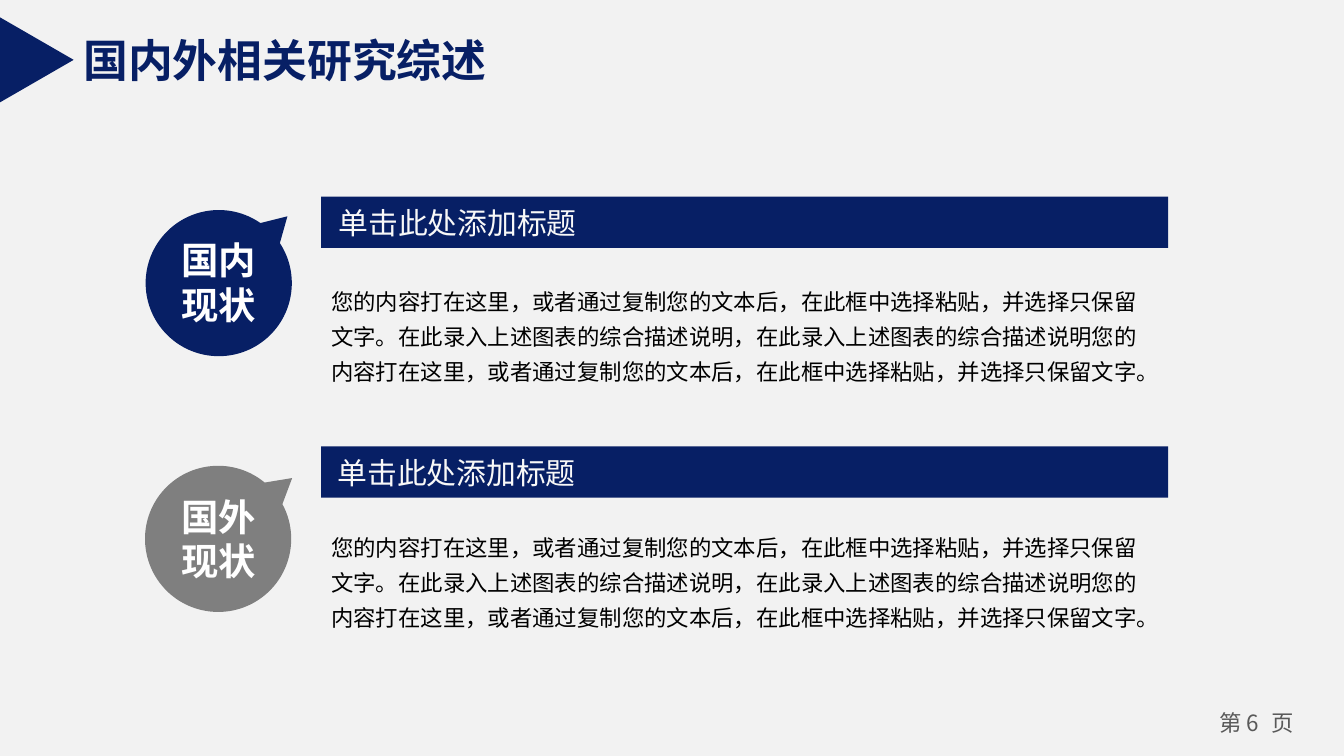
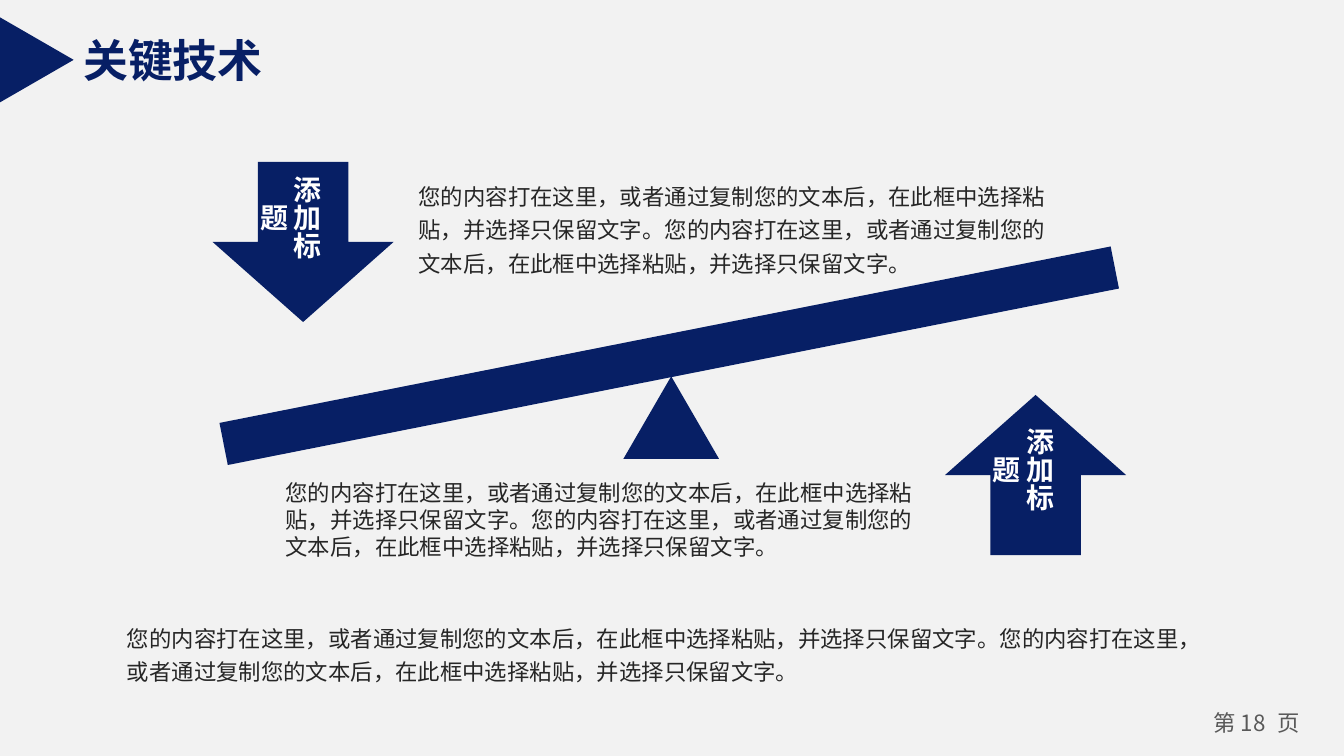
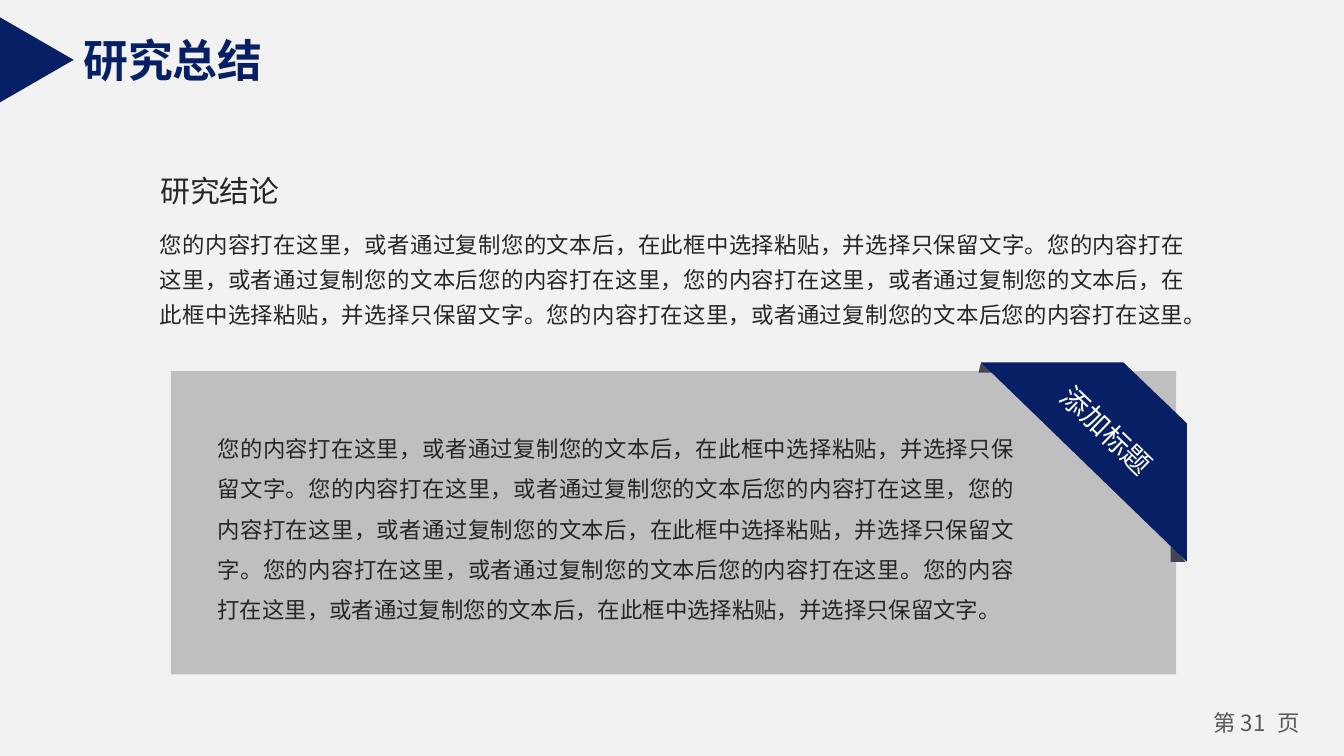
import math
import pptx
import pptx.dml.color
import pptx.enum.lang
import pptx.enum.shapes
import pptx.enum.text
import pptx.oxml.ns
import pptx.util
from dataclasses import dataclass
from lxml import etree

Pt = pptx.util.Pt
Shape = pptx.enum.shapes.MSO_SHAPE
Align = pptx.enum.text.PP_ALIGN
Anchor = pptx.enum.text.MSO_ANCHOR
AutoSize = pptx.enum.text.MSO_AUTO_SIZE
qn = pptx.oxml.ns.qn


@dataclass(frozen=True)
class Theme:
    navy: str = "071F65"
    paper: str = "F2F2F2"
    white: str = "FFFFFF"
    off_white: str = "F8F8F8"
    black: str = "000000"
    ink: str = "262626"
    footer: str = "595959"
    gray: str = "7F7F7F"
    panel: str = "BFBFBF"
    fold: str = "444455"
    title_font: str = "Arial"
    font: str = "Noto Sans CJK SC"
    title_size: int = 24
    callout_size: int = 20
    heading_size: int = 16
    label_size: int = 15
    body_size: int = 12


theme = Theme()
ROOMY = (7.2, 3.6)
TIGHT = (5.04, 2.88)
WIDE_SPACE = 3.75

PASTE = "您的内容打在这里，或者通过复制您的文本后，在此框中选择粘贴，并选择只保留文字。"
SHORT = "您的内容打在这里，或者通过复制您的文本后"
HERE = "您的内容打在这里"
DESCRIBE = "在此录入上述图表的综合描述说明"

REVIEW = {
    "title": "国内外相关研究综述",
    "page": 6,
    "heading": "单击此处添加标题",
    "body": PASTE + DESCRIBE + "，" + DESCRIBE + PASTE,
    "topics": [
        {"label": ["国内", "现状"], "color": theme.navy, "turn": 45.8,
         "callout_top": 102.2, "bar_top": 105.4, "heading_left": 174.4, "body_top": 147.2},
        {"label": ["国外", "现状"], "color": theme.gray, "turn": 50.6,
         "callout_top": 239.6, "bar_top": 239.2, "heading_left": 173.8, "body_top": 279},
    ],
}
TECHNOLOGY = {
    "title": "关键技术",
    "page": 18,
    "label": "添加标题",
    "arrows": [
        {"left": 113.9, "top": 86.7, "label_drop": 0.6, "upward": False},
        {"left": 506.3, "top": 211.6, "label_drop": 10.4, "upward": True},
    ],
    "texts": [
        ((219.2, 91.5, 350.6, 59.8), 1.25),
        ((148, 253.8, 357.1, 49), None),
        ((63, 328.3, 593.3, 41.8), 1.25),
    ],
    "body": PASTE * 2,
}
SUMMARY = {
    "title": "研究总结",
    "page": 31,
    "heading": "研究结论",
    "conclusion": PASTE + SHORT + HERE + "，" + PASTE + SHORT + HERE + "。",
    "detail": PASTE + SHORT + HERE + "，" + PASTE + SHORT + HERE + "。" + PASTE,
    "ribbon": "添加标题",
    "outlines": [
        (theme.fold, [(635, 301), (627.1, 301), (627.1, 290.9)]),
        (theme.fold, [(525.6, 194.2), (524.2, 199.6), (533.5, 199.6)]),
        (theme.navy, [(525.6, 194.2), (635.8, 301), (635.8, 226.8), (601.9, 194.2)]),
    ],
}


def rgb(color):
    return pptx.dml.color.RGBColor.from_string(color)


def paint(shape, color, turn=0):
    shape.shadow.inherit = False
    shape.fill.solid()
    shape.fill.fore_color.rgb = rgb(color)
    shape.line.fill.background()
    shape.rotation = turn


def add_block(shapes, kind, place, color, turn=0):
    block = shapes.add_shape(kind, *map(Pt, place))
    paint(block, color, turn)
    return block


def add_outline(shapes, points, color):
    start, *rest = [(Pt(x), Pt(y)) for x, y in points]
    builder = shapes.build_freeform(*start)
    builder.add_line_segments(rest, close=True)
    outline = builder.convert_to_shape()
    paint(outline, color)
    return outline


def add_callout(shapes, place, color, turn):
    left, top, width, height = place
    radius = width / 2
    center_x, center_y = left + radius, top + height - radius
    half_tail, pieces = 11, 4
    step = math.radians(360 - 2 * half_tail) / pieces
    angles = [math.radians(half_tail) + step * index for index in range(pieces + 1)]
    handle = 4 / 3 * math.tan(step / 4)

    def on_circle(angle, pull=0):
        x = math.sin(angle) + pull * math.cos(angle)
        y = pull * math.sin(angle) - math.cos(angle)
        return center_x + radius * x, center_y + radius * y

    callout = add_outline(shapes, [(center_x, top), *map(on_circle, angles)], color)
    callout.rotation = turn
    sides = list(callout.element.iter(qn("a:lnTo")))[1:]
    for side, begin, end in zip(sides, angles, angles[1:]):
        side.tag = qn("a:cubicBezTo")
        side.remove(side[0])
        for x, y in (on_circle(begin, handle), on_circle(end, -handle), on_circle(end)):
            point = etree.SubElement(side, qn("a:pt"))
            point.set("x", str(Pt(x) - callout.left))
            point.set("y", str(Pt(y) - callout.top))


def add_span(para, text, size, color, font, bold, extra):
    span = para.add_run()
    span.text = text
    span.font.size = Pt(size)
    span.font.bold = bold
    span.font.color.rgb = rgb(color)
    span.font.name = font
    span.font.language_id = pptx.enum.lang.MSO_LANGUAGE_ID.SIMPLIFIED_CHINESE
    properties = span.font._element
    etree.SubElement(properties, qn("a:ea")).set("typeface", theme.font)
    if extra:
        properties.set("spc", str(round(extra * 100)))


def add_text(shapes, place, lines, size, color, font=theme.font, bold=False,
             align=Align.LEFT, spacing=None, inset=ROOMY, wrap=True, grow=True,
             anchor=Anchor.TOP, turn=0, vertical=False):
    box = shapes.add_textbox(*map(Pt, place))
    box.rotation = turn
    frame = box.text_frame
    frame.word_wrap = wrap
    frame.auto_size = AutoSize.SHAPE_TO_FIT_TEXT if grow else AutoSize.NONE
    frame.vertical_anchor = anchor
    frame.margin_left = frame.margin_right = Pt(inset[0])
    frame.margin_top = frame.margin_bottom = Pt(inset[1])
    if vertical:
        box.element.txBody.find(qn("a:bodyPr")).set("vert", "eaVert")
    for index, line in enumerate(lines):
        para = frame.add_paragraph() if index else frame.paragraphs[0]
        para.alignment = align
        para.line_spacing = spacing
        for text, extra in [(line, 0)] if isinstance(line, str) else line:
            add_span(para, text, size, color, font, bold, extra)


def add_page(deck, content):
    shapes = deck.slides.add_slide(deck.slide_layouts[6]).shapes
    title = content["title"]
    footer = [(f"第 {content['page']}", 0), (" ", WIDE_SPACE), ("页", 0)]
    add_text(shapes, (640.8, 377, 64.8, 21.6), [footer],
             theme.body_size, theme.footer, align=Align.CENTER, inset=TIGHT, grow=False)
    add_text(shapes, (37.5, 14, theme.title_size * len(title) + 15.5, 36), [title],
             theme.title_size, theme.navy, font=theme.title_font, bold=True, wrap=False)
    add_block(shapes, Shape.ISOSCELES_TRIANGLE, (-3.2, 12.3, 45.7, 39.6), theme.navy, 90)
    return shapes


def build_review(deck):
    shapes = add_page(deck, REVIEW)
    for topic in REVIEW["topics"]:
        bar_top, callout_top = topic["bar_top"], topic["callout_top"]
        group = shapes.add_group_shape().shapes
        add_block(group, Shape.RECTANGLE, (172.1, bar_top, 453.7, 27.4), theme.navy)
        add_text(group, (topic["heading_left"], bar_top + 0.9, 365, 26.6),
                 [REVIEW["heading"]], theme.heading_size, theme.off_white)
        add_text(shapes, (172.4, topic["body_top"], 453.6, 61.9), [REVIEW["body"]],
                 theme.body_size, theme.black, spacing=1.3, inset=TIGHT)
        add_callout(shapes, (82.4, callout_top, 78.3, 90.5), topic["color"], topic["turn"])
        add_text(shapes, (91.9, callout_top + 34.6, 50.4, 28.8), topic["label"],
                 theme.callout_size, theme.white, bold=True, align=Align.CENTER,
                 inset=TIGHT, wrap=False, grow=False, anchor=Anchor.MIDDLE)


def build_technology(deck):
    shapes = add_page(deck, TECHNOLOGY)
    for place, spacing in TECHNOLOGY["texts"]:
        add_text(shapes, place, [TECHNOLOGY["body"]], theme.body_size, theme.ink,
                 spacing=spacing, inset=TIGHT)
    add_block(shapes, Shape.RECTANGLE, (115.2, 179.1, 486.7, 23), theme.navy, 348.8)
    add_block(shapes, Shape.ISOSCELES_TRIANGLE, (334, 201.6, 51.2, 44.2), theme.navy)
    for item in TECHNOLOGY["arrows"]:
        left, top = item["left"], item["top"]
        group = shapes.add_group_shape().shapes
        arrow = add_block(group, Shape.DOWN_ARROW, (left, top, 97, 85.8), theme.navy)
        if item["upward"]:
            arrow.element.spPr.find(qn("a:xfrm")).set("flipV", "1")
        add_text(group, (left + 30.6, top + item["label_drop"], 32.4, 60),
                 [TECHNOLOGY["label"]], theme.label_size, theme.white, bold=True,
                 align=Align.CENTER, vertical=True)


def build_summary(deck):
    shapes = add_page(deck, SUMMARY)
    conclusion = shapes.add_group_shape().shapes
    add_text(conclusion, (78.5, 115.9, 563.6, 64), [SUMMARY["conclusion"]],
             theme.body_size, theme.ink, align=Align.JUSTIFY, spacing=1.3)
    add_text(conclusion, (78.9, 88.9, 79.2, 26.6), [SUMMARY["heading"]],
             theme.heading_size, theme.ink, wrap=False)
    add_block(shapes, Shape.RECTANGLE, (91.5, 198.8, 538.6, 162.5), theme.panel)
    add_text(shapes, (111.5, 223, 437.3, 114.5), [SUMMARY["detail"]],
             theme.body_size, theme.ink, align=Align.JUSTIFY, spacing=1.5, inset=TIGHT)
    ribbon = shapes.add_group_shape().shapes
    for color, points in SUMMARY["outlines"]:
        add_outline(ribbon, points, color)
    add_text(ribbon, (555.8, 218.2, 74.9, 25.2), [SUMMARY["ribbon"]],
             theme.label_size, theme.white, wrap=False, turn=44)


def main():
    deck = pptx.Presentation()
    deck.slide_width, deck.slide_height = Pt(720), Pt(405)
    backdrop = deck.slide_master.background.fill
    backdrop.solid()
    backdrop.fore_color.rgb = rgb(theme.paper)
    build_review(deck)
    build_technology(deck)
    build_summary(deck)
    deck.save("out.pptx")


if __name__ == "__main__":
    main()
